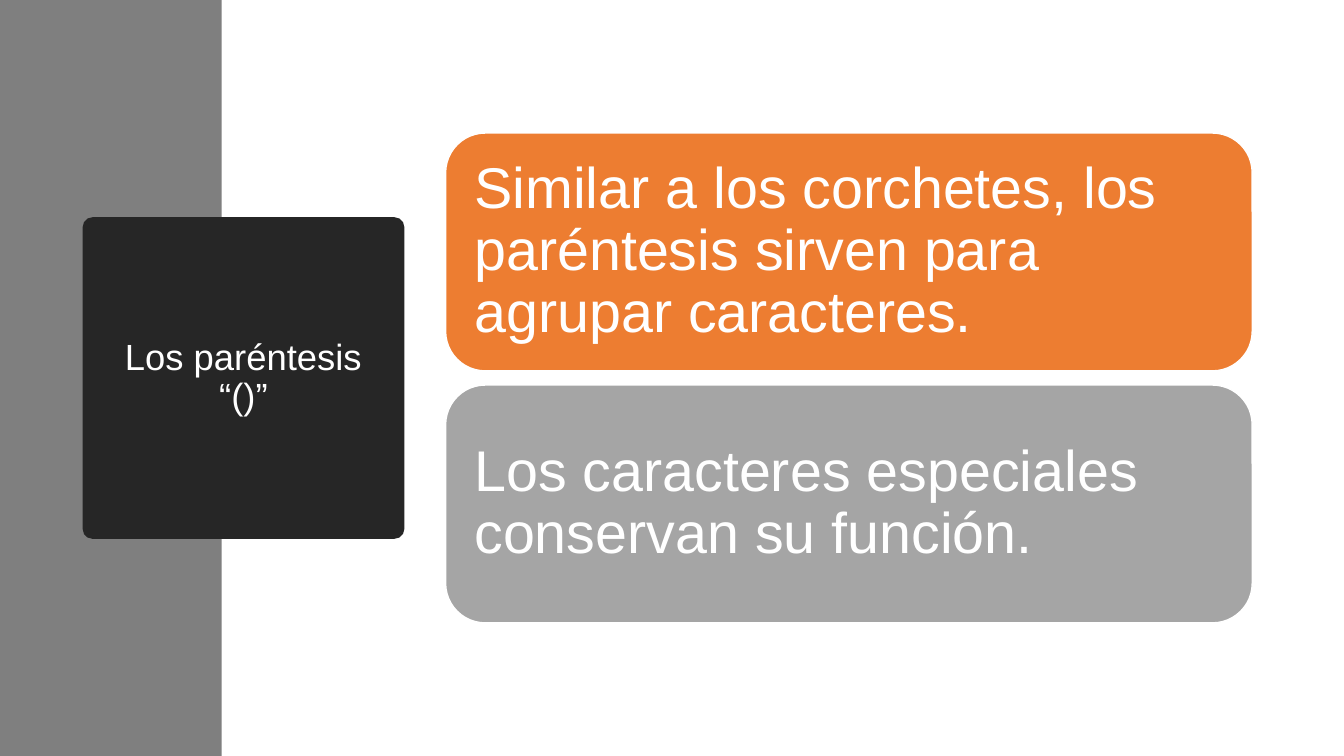
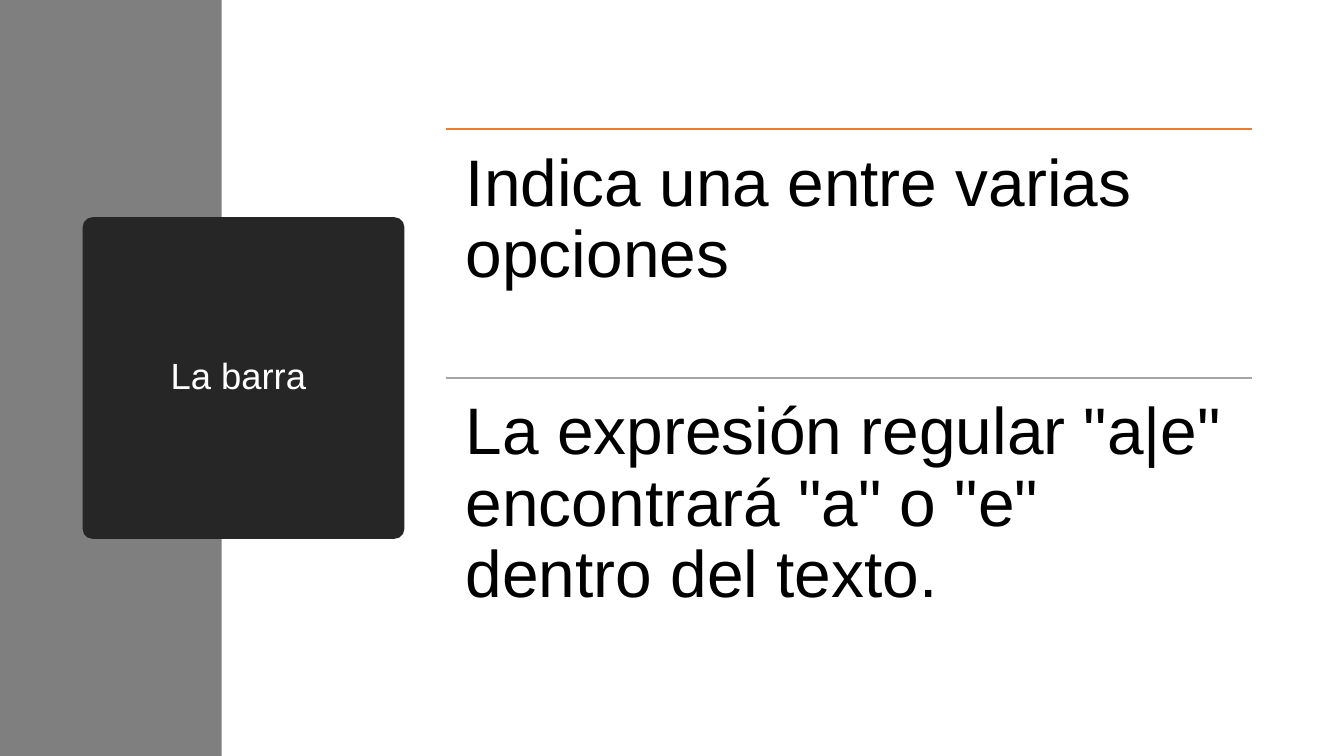
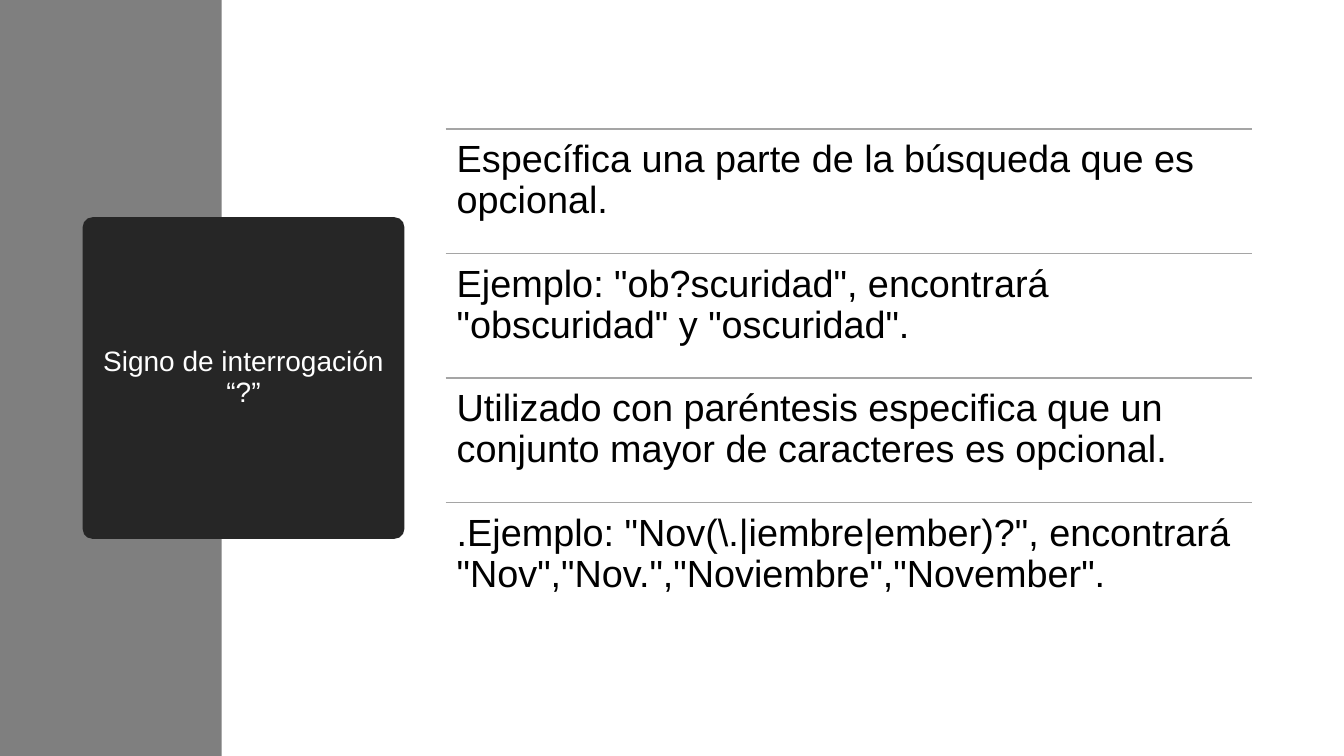
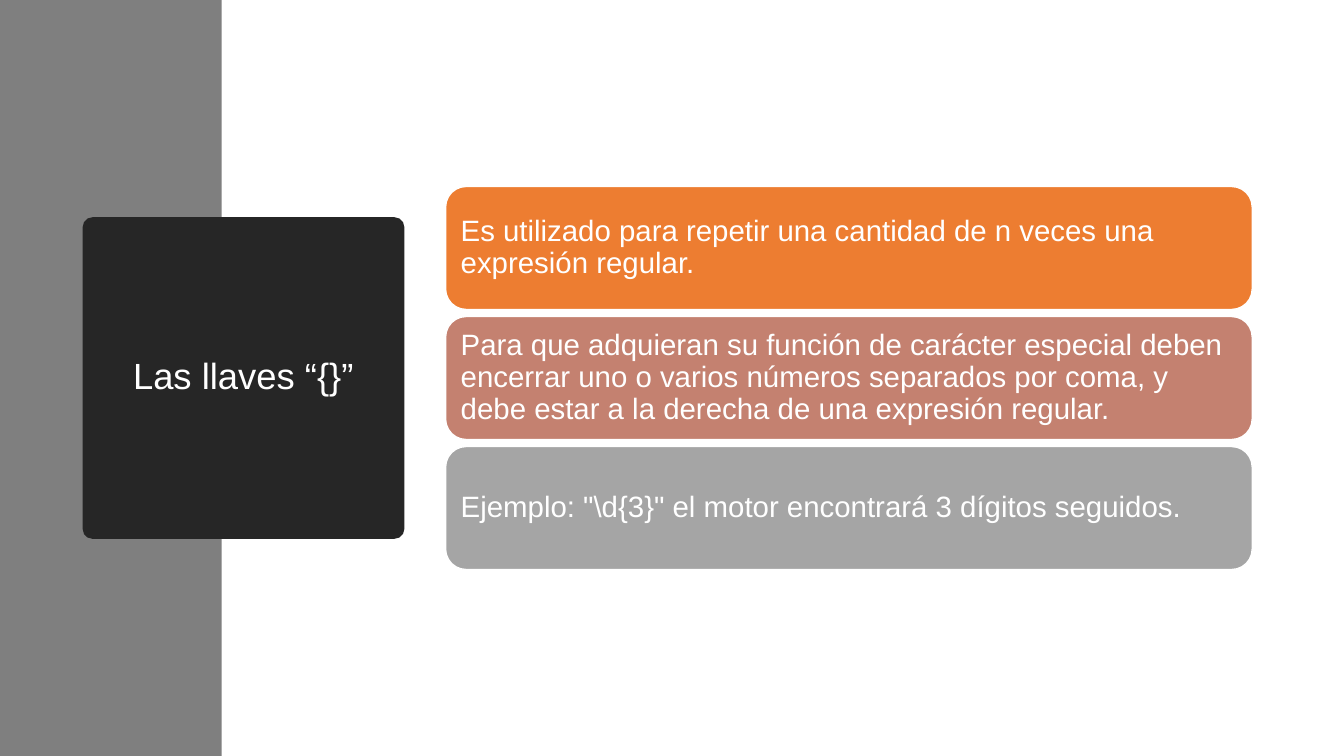
from lxml import etree
from pptx import Presentation
from pptx.dml.color import RGBColor
from pptx.enum.shapes import MSO_CONNECTOR, MSO_SHAPE
from pptx.enum.text import MSO_ANCHOR, PP_ALIGN
from pptx.oxml.ns import qn
from pptx.util import Inches, Pt

RECTANGLE = MSO_SHAPE.RECTANGLE
ROUNDED = MSO_SHAPE.ROUNDED_RECTANGLE
STRAIGHT = MSO_CONNECTOR.STRAIGHT
TOP, MIDDLE = MSO_ANCHOR.TOP, MSO_ANCHOR.MIDDLE
LEFT, CENTER = PP_ALIGN.LEFT, PP_ALIGN.CENTER

FONT = "Arial"
WHITE, BLACK = "FFFFFF", "000000"
BAND_GRAY, DARK = "7F7F7F", "262626"
ORANGE, ROSE, GRAY = "ED7D31", "C48170", "A5A5A5"

SLIDE_WIDTH, SLIDE_HEIGHT = 13.33, 7.5
MIDDLE_Y = SLIDE_HEIGHT / 2
BAND_WIDTH = 2.2
TITLE_LEFT, TITLE_SIDE = 0.82, 3.19
CONTENT_LEFT, CONTENT_WIDTH = 4.42, 8
ROWS_TOP, ROWS_HEIGHT = 1.28, 4.94


def color(value):
    return RGBColor.from_string(value)


def write_text(shape, text, size, font_color=WHITE, align=LEFT, anchor=MIDDLE, margin=0.1):
    frame = shape.text_frame
    frame.word_wrap = True
    frame.vertical_anchor = anchor
    frame.margin_left = frame.margin_right = Inches(margin)
    frame.margin_top = frame.margin_bottom = Inches(margin)
    paragraph = frame.paragraphs[0]
    paragraph.text = text
    paragraph.alignment = align
    paragraph.line_spacing = 0.9
    paragraph.font.name = FONT
    paragraph.font.size = Pt(size)
    paragraph.font.color.rgb = color(font_color)


def add_block(slide, kind, left, top, width, height, fill, line=None):
    shape = slide.shapes.add_shape(
        kind, Inches(left), Inches(top), Inches(width), Inches(height))
    shape.shadow.inherit = False
    shape.fill.solid()
    shape.fill.fore_color.rgb = color(fill)
    if line:
        shape.line.color.rgb = color(line)
        shape.line.width = Pt(1)
    else:
        shape.line.fill.background()
    return shape


def add_rule(slide, top, line):
    rule = slide.shapes.add_connector(
        STRAIGHT, Inches(CONTENT_LEFT), Inches(top),
        Inches(CONTENT_LEFT + CONTENT_WIDTH), Inches(top))
    rule.line.color.rgb = color(line)
    rule.line.width = Pt(1)
    etree.SubElement(rule._element.spPr, qn("a:effectLst"))


def add_titled_slide(presentation, title, size=26):
    slide = presentation.slides.add_slide(presentation.slide_layouts[6])
    add_block(slide, RECTANGLE, 0, 0, BAND_WIDTH, SLIDE_HEIGHT, BAND_GRAY)
    box = add_block(slide, ROUNDED, TITLE_LEFT, MIDDLE_Y - TITLE_SIDE / 2,
                    TITLE_SIDE, TITLE_SIDE, DARK)
    box.adjustments[0] = 0.03
    write_text(box, title, size, align=CENTER, margin=0.15)
    return slide


def add_cards(slide, cards, height, gap, size, margin):
    pitch = height + gap
    first_top = MIDDLE_Y - (len(cards) * pitch - gap) / 2
    for index, (text, fill) in enumerate(cards):
        card = add_block(slide, ROUNDED, CONTENT_LEFT, first_top + index * pitch,
                         CONTENT_WIDTH, height, fill, line=WHITE)
        write_text(card, text, size, margin=margin)


def add_rows(slide, rows, size, margin):
    height = ROWS_HEIGHT / len(rows)
    for index, (text, line) in enumerate(rows):
        top = ROWS_TOP + index * height
        add_rule(slide, top, line)
        box = slide.shapes.add_textbox(
            Inches(CONTENT_LEFT), Inches(top), Inches(CONTENT_WIDTH), Inches(height))
        write_text(box, text, size, font_color=BLACK, anchor=TOP, margin=margin)


def main():
    presentation = Presentation()
    presentation.slide_width = Inches(SLIDE_WIDTH)
    presentation.slide_height = Inches(SLIDE_HEIGHT)

    parentheses = add_titled_slide(presentation, "Los paréntesis “()”")
    add_cards(parentheses, [
        ("Similar a los corchetes, los paréntesis sirven para agrupar caracteres.", ORANGE),
        ("Los caracteres especiales conservan su función.", GRAY),
    ], height=2.36, gap=0.14, size=41, margin=0.17)

    bar = add_titled_slide(presentation, "La barra ")
    add_rows(bar, [
        ("Indica una entre varias opciones", ORANGE),
        ('La expresión regular "a|e" encontrará "a" o "e" dentro del texto.', GRAY),
    ], size=47, margin=0.2)

    question_mark = add_titled_slide(presentation, "Signo de interrogación “?”", size=20)
    add_rows(question_mark, [
        ("Específica una parte de la búsqueda que es opcional.", GRAY),
        ('Ejemplo: "ob?scuridad", encontrará "obscuridad" y "oscuridad".', GRAY),
        ("Utilizado con paréntesis especifica que un conjunto mayor de caracteres "
         "es opcional.", GRAY),
        ('.Ejemplo: "Nov(\\.|iembre|ember)?", encontrará '
         '"Nov","Nov.","Noviembre","November".', GRAY),
    ], size=27, margin=0.11)

    braces = add_titled_slide(presentation, "Las llaves “{}”")
    add_cards(braces, [
        ("Es utilizado para repetir una cantidad de n veces una expresión regular.", ORANGE),
        ("Para que adquieran su función de carácter especial deben encerrar uno o varios "
         "números separados por coma, y debe estar a la derecha de una expresión regular.",
         ROSE),
        ('Ejemplo: "\\d{3}" el motor encontrará 3 dígitos seguidos.', GRAY),
    ], height=1.22, gap=0.07, size=21, margin=0.09)

    presentation.save("out.pptx")


if __name__ == "__main__":
    main()
